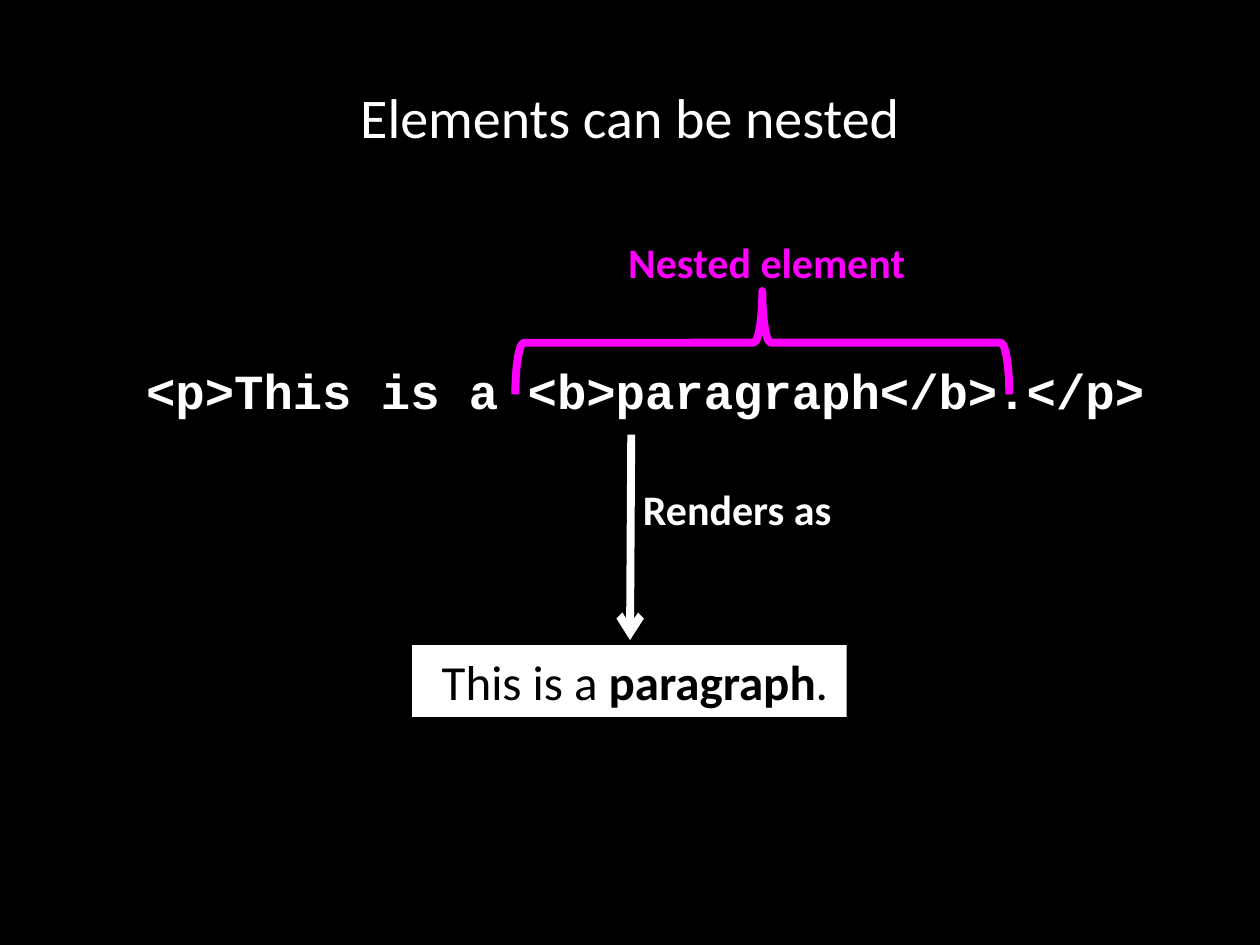
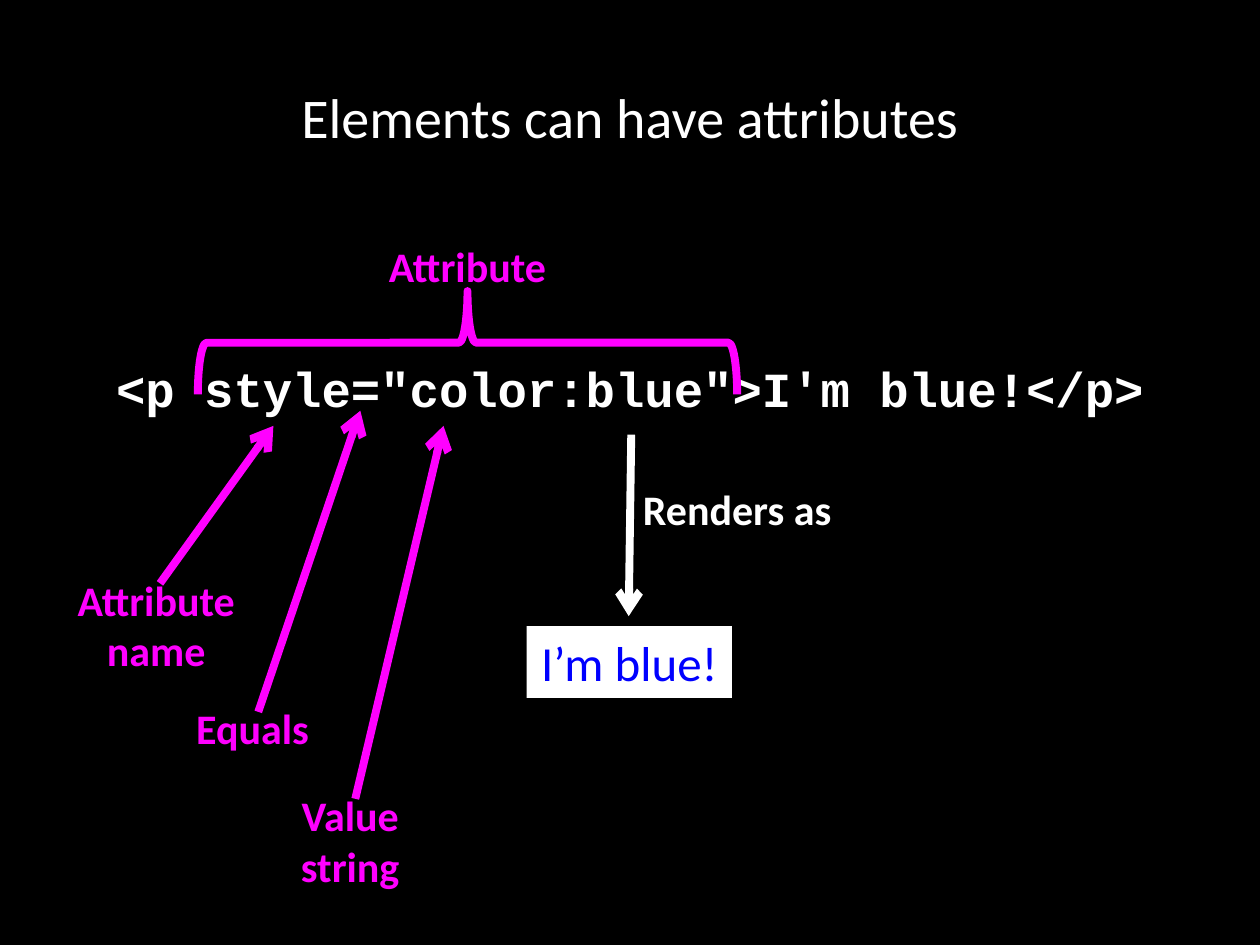
"""Build two slides on nested HTML elements and on attributes."""
from dataclasses import dataclass

import pptx
import pptx.dml.color
import pptx.enum.shapes
import pptx.enum.text
import pptx.oxml
import pptx.oxml.ns
import pptx.presentation
import pptx.shapes.base
import pptx.slide
import pptx.util
from pptx.dml.color import RGBColor
from pptx.util import Inches

BLACK = RGBColor(0x00, 0x00, 0x00)
WHITE = RGBColor(0xFF, 0xFF, 0xFF)
MAGENTA = RGBColor(0xFF, 0x00, 0xFF)
BLUE = RGBColor(0x00, 0x00, 0xFF)

BODY_FONT = "Calibri"
CODE_FONT = "Courier New"
TITLE_SIZE, LARGE_SIZE, LABEL_SIZE = 32, 28, 24
STROKE = pptx.util.Pt(4.5)
BRACE_TOP, BRACE_DEPTH = 2.31, 0.82
TITLE_ONLY_LAYOUT = 5
RECTANGLE = pptx.enum.shapes.MSO_SHAPE.RECTANGLE


@dataclass(frozen=True)
class Style:
    size: int
    color: RGBColor
    bold: bool = False
    font: str = BODY_FONT


TITLE = Style(TITLE_SIZE, WHITE)
CODE = Style(LARGE_SIZE, WHITE, True, CODE_FONT)
NOTE = Style(LABEL_SIZE, WHITE, True)
CALLOUT = Style(LABEL_SIZE, MAGENTA, True)


@dataclass(frozen=True)
class Area:
    left: float
    top: float
    width: float
    height: float

    def lengths(self) -> tuple[Inches, ...]:
        return tuple(Inches(n) for n in (self.left, self.top, self.width, self.height))


@dataclass(frozen=True)
class Label:
    text: str
    area: Area


@dataclass(frozen=True)
class Brace:
    center: float
    span: float


@dataclass(frozen=True)
class Arrow:
    start: tuple[float, float]
    end: tuple[float, float]
    color: RGBColor = MAGENTA


@dataclass(frozen=True)
class Result:
    spans: tuple[tuple[str, bool], ...]
    color: RGBColor
    area: Area


@dataclass(frozen=True)
class Lesson:
    title: str
    code: Label
    code_wraps: bool
    result: Result
    render_arrow: Arrow
    heading: Label
    brace: Brace
    pointers: tuple[tuple[Label, Arrow], ...] = ()


RENDERS_AS = Label("Renders as", Area(4.99, 3.79, 1.72, 0.51))

LESSONS = (
    Lesson(
        title="Elements can be nested",
        code=Label(" <p>This is a <b>paragraph</b>.</p>", Area(0.78, 2.81, 8.45, 0.57)),
        code_wraps=False,
        result=Result(
            ((" This is a ", False), ("paragraph", True), (".", False)),
            BLACK,
            Area(3.27, 5.12, 3.45, 0.57),
        ),
        render_arrow=Arrow((5.01, 3.45), (5, 5.08), WHITE),
        heading=Label("Nested element", Area(4.87, 1.83, 2.43, 0.51)),
        brace=Brace(6.05, 3.92),
    ),
    Lesson(
        title="Elements can have attributes",
        code=Label('<p style="color:blue">I\'m blue!</p>', Area(0, 2.8, 10, 0.57)),
        code_wraps=True,
        result=Result((("I’m blue!", False),), BLUE, Area(4.18, 4.97, 1.63, 0.57)),
        render_arrow=Arrow((5.01, 3.45), (4.99, 4.89), WHITE),
        heading=Label("Attribute", Area(2.97, 1.86, 1.48, 0.51)),
        brace=Brace(3.71, 4.28),
        pointers=(
            (Label("Attribute\nname", Area(0.5, 4.51, 1.48, 0.91)),
             Arrow((1.27, 4.63), (2.17, 3.38))),
            (Label("Equals", Area(1.45, 5.53, 1.11, 0.5)),
             Arrow((2.05, 5.65), (2.86, 3.26))),
            (Label("Value\nstring", Area(2.28, 6.22, 1, 0.91)),
             Arrow((2.82, 6.34), (3.52, 3.38))),
        ),
    ),
)


def format_text(box: pptx.shapes.base.BaseShape, style: Style) -> None:
    paragraph = box.text_frame.paragraphs[0]
    paragraph.alignment = pptx.enum.text.PP_ALIGN.CENTER
    paragraph.font.name = style.font
    paragraph.font.size = pptx.util.Pt(style.size)
    paragraph.font.bold = style.bold
    paragraph.font.color.rgb = style.color


def fit_frame(box: pptx.shapes.base.BaseShape, wraps: bool = False) -> None:
    frame = box.text_frame
    frame.word_wrap = wraps
    frame.auto_size = pptx.enum.text.MSO_AUTO_SIZE.SHAPE_TO_FIT_TEXT
    frame.vertical_anchor = pptx.enum.text.MSO_ANCHOR.TOP


def add_title(page: pptx.slide.Slide, text: str) -> None:
    title = page.shapes.title
    title.left, title.top, title.width, title.height = Area(0.5, 0.3, 9, 1.25).lengths()
    title.text_frame.text = text
    title.text_frame.vertical_anchor = pptx.enum.text.MSO_ANCHOR.MIDDLE
    format_text(title, TITLE)


def add_text(page: pptx.slide.Slide, label: Label, style: Style, wraps: bool = False) -> None:
    box = page.shapes.add_textbox(*label.area.lengths())
    fit_frame(box, wraps)
    box.text_frame.paragraphs[0].text = label.text
    format_text(box, style)


def add_callout(page: pptx.slide.Slide, label: Label) -> None:
    box = page.shapes.add_shape(RECTANGLE, *label.area.lengths())
    box.shadow.inherit = False
    box.fill.background()
    box.line.color.rgb = BLACK
    box.line.width = pptx.util.Pt(0.75)
    fit_frame(box)
    box.text_frame.paragraphs[0].text = label.text
    format_text(box, CALLOUT)


def add_result(page: pptx.slide.Slide, result: Result) -> None:
    box = page.shapes.add_shape(RECTANGLE, *result.area.lengths())
    box.shadow.inherit = False
    box.fill.solid()
    box.fill.fore_color.rgb = WHITE
    box.line.fill.background()
    fit_frame(box)
    format_text(box, Style(LARGE_SIZE, result.color))
    for text, bold in result.spans:
        span = box.text_frame.paragraphs[0].add_run()
        span.text = text
        if bold:
            span.font.bold = True


def add_brace(page: pptx.slide.Slide, brace: Brace) -> None:
    middle = BRACE_TOP + BRACE_DEPTH / 2
    area = Area(brace.center - BRACE_DEPTH / 2, middle - brace.span / 2, BRACE_DEPTH, brace.span)
    shape = page.shapes.add_shape(pptx.enum.shapes.MSO_SHAPE.LEFT_BRACE, *area.lengths())
    shape.rotation = 90
    shape.shadow.inherit = False
    shape.fill.background()
    shape.line.color.rgb = MAGENTA
    shape.line.width = STROKE


def add_arrow(page: pptx.slide.Slide, arrow: Arrow) -> None:
    ends = (Inches(n) for n in (*arrow.start, *arrow.end))
    connector = page.shapes.add_connector(pptx.enum.shapes.MSO_CONNECTOR.STRAIGHT, *ends)
    connector.line.color.rgb = arrow.color
    connector.line.width = STROKE
    properties = connector.element.spPr
    head = pptx.oxml.xmlchemy.OxmlElement("a:tailEnd")
    head.set("type", "arrow")
    properties.find(pptx.oxml.ns.qn("a:ln")).append(head)
    properties.append(pptx.oxml.xmlchemy.OxmlElement("a:effectLst"))


def add_lesson(deck: pptx.presentation.Presentation, lesson: Lesson) -> None:
    page = deck.slides.add_slide(deck.slide_layouts[TITLE_ONLY_LAYOUT])
    add_title(page, lesson.title)
    add_text(page, lesson.code, CODE, lesson.code_wraps)
    add_result(page, lesson.result)
    add_arrow(page, lesson.render_arrow)
    add_text(page, RENDERS_AS, NOTE)
    add_callout(page, lesson.heading)
    add_brace(page, lesson.brace)
    for label, arrow in lesson.pointers:
        add_callout(page, label)
        add_arrow(page, arrow)


def main() -> None:
    deck = pptx.Presentation()
    deck.slide_width, deck.slide_height = Inches(10), Inches(7.5)
    background = deck.slide_master.background.fill
    background.solid()
    background.fore_color.rgb = BLACK
    for lesson in LESSONS:
        add_lesson(deck, lesson)
    deck.save("out.pptx")


if __name__ == "__main__":
    main()
